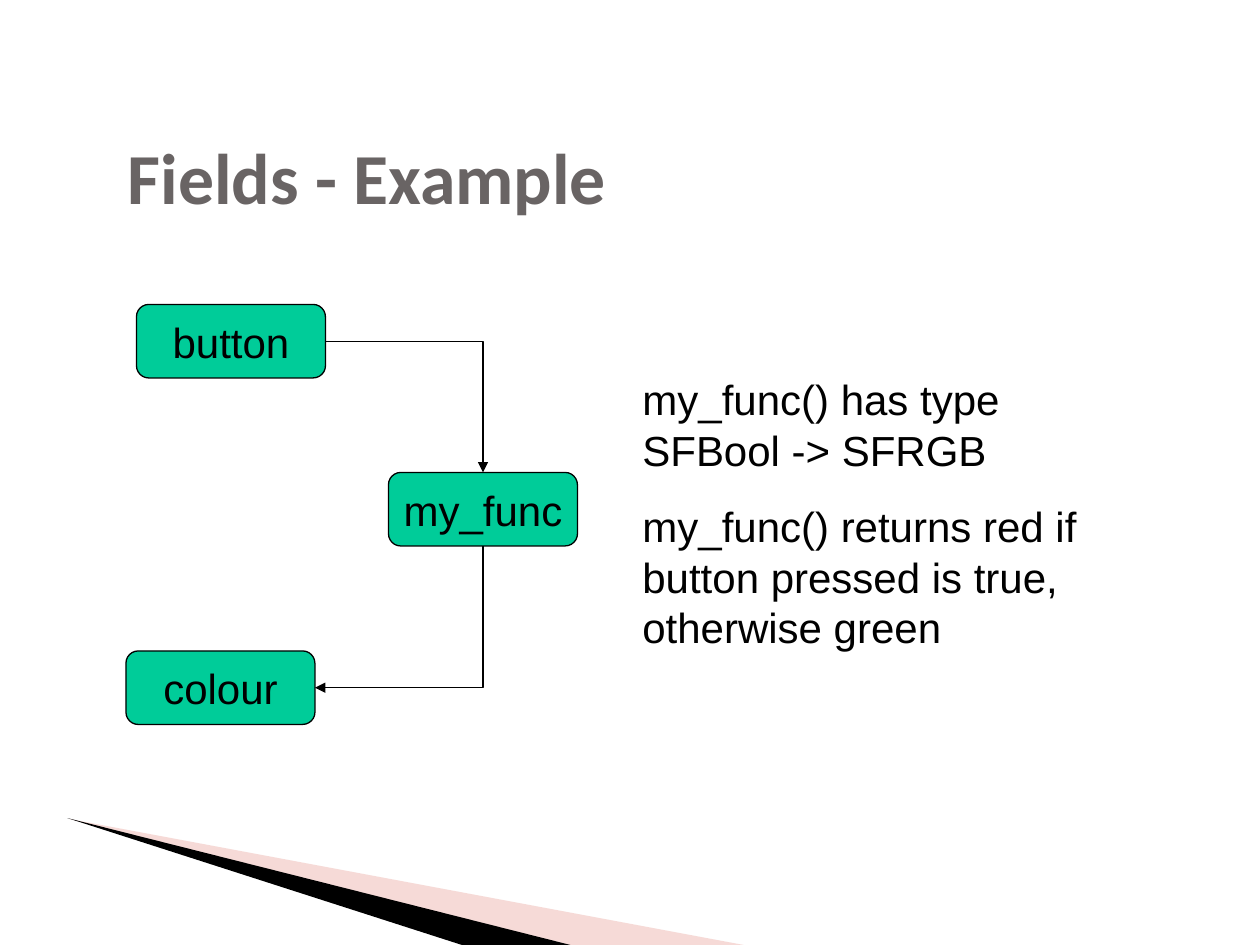
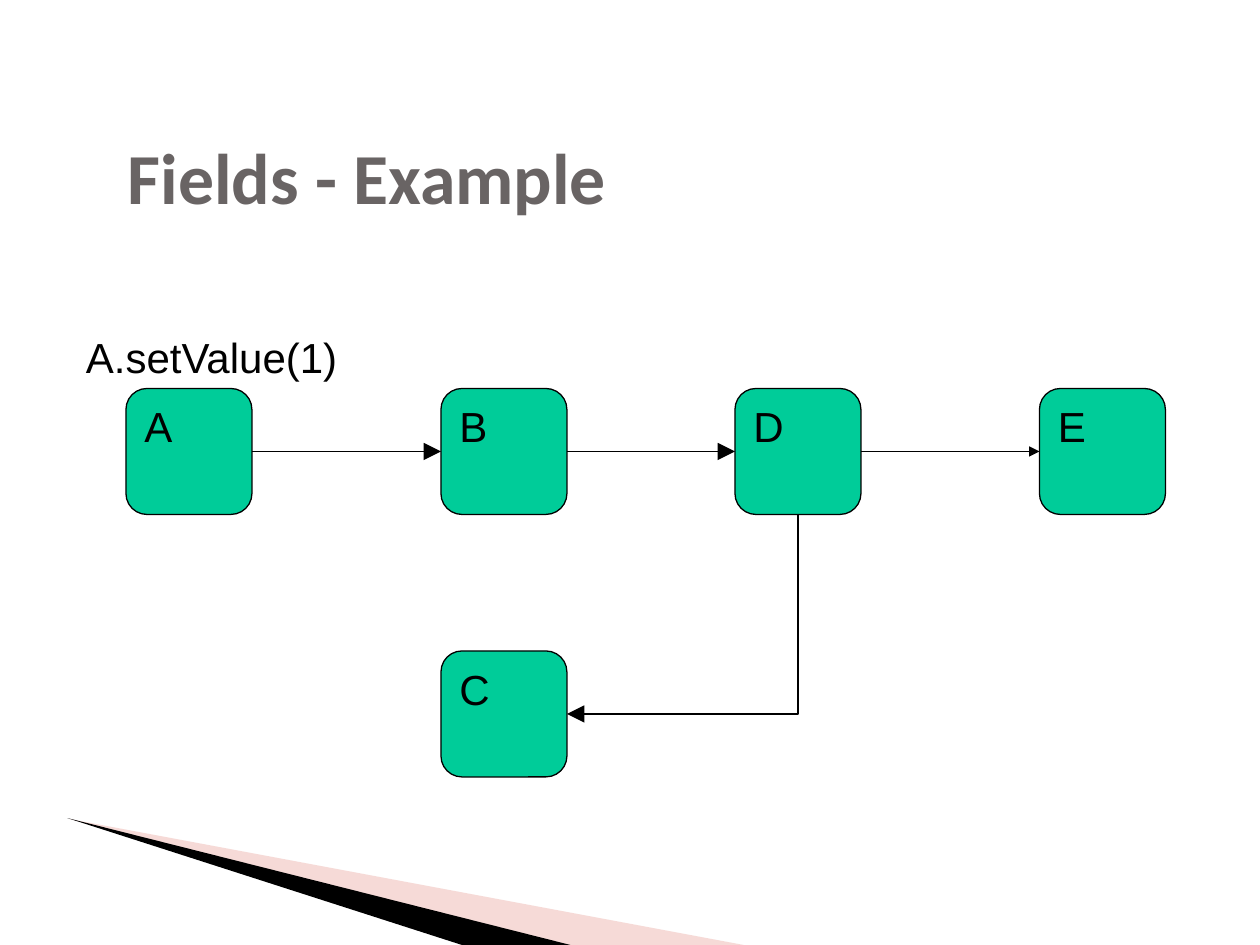
from dataclasses import dataclass

import pptx
import pptx.dml.color
import pptx.enum.shapes
import pptx.enum.text
import pptx.oxml.ns
import pptx.oxml.xmlchemy
import pptx.shapes.connector
import pptx.slide
import pptx.util
from lxml import etree

Pt = pptx.util.Pt
qn = pptx.oxml.ns.qn
Align = pptx.enum.text.PP_ALIGN
Anchor = pptx.enum.text.MSO_ANCHOR
Connector = pptx.enum.shapes.MSO_CONNECTOR

BLACK = "000000"
NODE_GREEN = "00CC99"
TITLE_GREY = "696464"
BAND_PINK = "E9A49C"
BODY_FONT = "Arial"
TITLE_FONT = "Calibri"
BODY_SIZE = 24
LINE_WIDTH = 0.75
TOP, LEFT, BOTTOM, RIGHT = range(4)


@dataclass(frozen=True)
class Box:
    left: float
    top: float
    width: float
    height: float

    def side(self, index: int) -> tuple[float, float]:
        """Middle of a side, numbered like the connection sites."""
        middle_x = self.left + self.width / 2
        middle_y = self.top + self.height / 2
        return (
            (middle_x, self.top),
            (self.left, middle_y),
            (middle_x, self.top + self.height),
            (self.left + self.width, middle_y),
        )[index]


@dataclass(frozen=True)
class Node:
    label: str
    box: Box
    centred: bool = False


@dataclass(frozen=True)
class Arrow:
    start: str
    start_side: int
    end: str
    end_side: int
    head: str = "med"

    @property
    def bent(self) -> bool:
        return self.start_side % 2 != self.end_side % 2


@dataclass(frozen=True)
class Band:
    points: tuple[tuple[float, float], ...]
    color: str
    opacity: int = 100


@dataclass(frozen=True)
class Diagram:
    nodes: tuple[Node, ...]
    arrows: tuple[Arrow, ...]
    note_box: Box
    notes: tuple[str, ...]


# Parts shared by the slides
TITLE = "Fields - Example"
TITLE_BOX = Box(66, 54, 612, 90)
BANDS = (
    Band(((39.5, 468), (425, 540), (325.5, 540)), BAND_PINK, 40),
    Band(((38.5, 467.5), (326, 540), (264, 540)), BLACK),
)


def function_node(label: str, left: float, top: float) -> Node:
    return Node(label, Box(left, top, 108, 42), centred=True)


def field_node(label: str, left: float, top: float) -> Node:
    return Node(label, Box(left, top, 72, 72))


DIAGRAMS = (
    Diagram(
        nodes=(
            function_node("button", 78, 174),
            function_node("my_func", 222, 270),
            function_node("colour", 72, 372),
        ),
        arrows=(
            Arrow("button", RIGHT, "my_func", TOP),
            Arrow("my_func", BOTTOM, "colour", RIGHT),
        ),
        note_box=Box(360, 210, 300, 166),
        notes=(
            "my_func() has type SFBool -> SFRGB",
            "my_func() returns red if button pressed is true, otherwise green",
        ),
    ),
    Diagram(
        nodes=(
            field_node("A", 72, 222),
            field_node("B", 252, 222),
            field_node("C", 252, 372),
            field_node("D", 420, 222),
            field_node("E", 594, 222),
        ),
        arrows=(
            Arrow("A", RIGHT, "B", LEFT, "lg"),
            Arrow("B", RIGHT, "D", LEFT, "lg"),
            Arrow("D", BOTTOM, "C", RIGHT, "lg"),
            Arrow("D", RIGHT, "E", LEFT),
        ),
        note_box=Box(42, 186, 162, 36),
        notes=("A.setValue(1)",),
    ),
)


def rgb(value: str) -> pptx.dml.color.RGBColor:
    return pptx.dml.color.RGBColor.from_string(value)


def lengths(*values: float) -> list[pptx.util.Length]:
    return [Pt(value) for value in values]


def frame(box: Box) -> list[pptx.util.Length]:
    return lengths(box.left, box.top, box.width, box.height)


def add_run(paragraph, text: str, font_name: str = BODY_FONT, size: float = BODY_SIZE,
            color: str = BLACK, bold: bool = False) -> None:
    run = paragraph.add_run()
    run.text = text
    run.font.name = font_name
    run.font.size = Pt(size)
    run.font.bold = bold
    run.font.color.rgb = rgb(color)


def add_band(slide: pptx.slide.Slide, band: Band) -> None:
    start, *others = [tuple(lengths(*point)) for point in band.points]
    builder = slide.shapes.build_freeform(*start)
    builder.add_line_segments(others, close=True)
    shape = builder.convert_to_shape()
    shape.shadow.inherit = False
    shape.line.fill.background()
    shape.fill.solid()
    shape.fill.fore_color.rgb = rgb(band.color)
    if band.opacity < 100:
        color = shape._element.spPr.find(qn("a:solidFill"))[0]
        etree.SubElement(color, qn("a:alpha")).set("val", str(band.opacity * 1000))


def add_title(slide: pptx.slide.Slide) -> None:
    text_frame = slide.shapes.add_textbox(*frame(TITLE_BOX)).text_frame
    text_frame.word_wrap = True
    text_frame.vertical_anchor = Anchor.MIDDLE
    paragraph = text_frame.paragraphs[0]
    paragraph.line_spacing = 1.07
    add_run(paragraph, TITLE, TITLE_FONT, 41, TITLE_GREY, bold=True)


def add_node(slide: pptx.slide.Slide, node: Node):
    shape = slide.shapes.add_shape(
        pptx.enum.shapes.MSO_SHAPE.ROUNDED_RECTANGLE, *frame(node.box))
    shape.shadow.inherit = False
    shape.fill.solid()
    shape.fill.fore_color.rgb = rgb(NODE_GREEN)
    shape.line.color.rgb = rgb(BLACK)
    shape.line.width = Pt(LINE_WIDTH)
    text_frame = shape.text_frame
    text_frame.word_wrap = not node.centred
    text_frame.vertical_anchor = Anchor.MIDDLE if node.centred else Anchor.TOP
    paragraph = text_frame.paragraphs[0]
    paragraph.alignment = Align.CENTER if node.centred else Align.LEFT
    add_run(paragraph, node.label)
    return shape


def bend(connector: pptx.shapes.connector.Connector, start: tuple[float, float],
         end: tuple[float, float], downward: bool) -> None:
    """Give the connector one corner; a downward start is a quarter turn."""
    width, height = abs(end[0] - start[0]), abs(end[1] - start[1])
    middle_x, middle_y = (start[0] + end[0]) / 2, (start[1] + end[1]) / 2
    properties = connector._element.spPr
    properties.find(qn("a:prstGeom")).set("prst", "bentConnector2")
    transform = properties.find(qn("a:xfrm"))
    if downward:
        width, height = height, width
        transform.set("rot", "5400000")
        transform.attrib.pop("flipH", None)
    connector.left, connector.top = lengths(middle_x - width / 2, middle_y - height / 2)
    connector.width, connector.height = lengths(width, height)


def add_arrow(slide: pptx.slide.Slide, arrow: Arrow, boxes: dict[str, Box],
              shapes: dict) -> None:
    start = boxes[arrow.start].side(arrow.start_side)
    end = boxes[arrow.end].side(arrow.end_side)
    kind = Connector.ELBOW if arrow.bent else Connector.STRAIGHT
    connector = slide.shapes.add_connector(kind, *lengths(*start, *end))
    connector.begin_connect(shapes[arrow.start], arrow.start_side)
    connector.end_connect(shapes[arrow.end], arrow.end_side)
    if arrow.bent:
        bend(connector, start, end, downward=arrow.start_side == BOTTOM)
    connector.line.color.rgb = rgb(BLACK)
    connector.line.width = Pt(LINE_WIDTH)
    properties = connector._element.spPr
    tail = etree.SubElement(properties.find(qn("a:ln")), qn("a:tailEnd"))
    for name, value in (("type", "triangle"), ("w", arrow.head), ("len", arrow.head)):
        tail.set(name, value)
    etree.SubElement(properties, qn("a:effectLst"))


def add_notes(slide: pptx.slide.Slide, box: Box, notes: tuple[str, ...]) -> None:
    text_frame = slide.shapes.add_textbox(*frame(box)).text_frame
    text_frame.word_wrap = True
    for index, note in enumerate(notes):
        paragraph = text_frame.add_paragraph() if index else text_frame.paragraphs[0]
        if index:
            paragraph.space_before = Pt(15)
        add_run(paragraph, note)


def add_diagram_slide(presentation, diagram: Diagram) -> None:
    slide = presentation.slides.add_slide(presentation.slide_layouts[6])
    for band in BANDS:
        add_band(slide, band)
    add_title(slide)
    boxes = {node.label: node.box for node in diagram.nodes}
    shapes = {node.label: add_node(slide, node) for node in diagram.nodes}
    for arrow in diagram.arrows:
        add_arrow(slide, arrow, boxes, shapes)
    add_notes(slide, diagram.note_box, diagram.notes)


def main() -> None:
    presentation = pptx.Presentation()
    presentation.slide_width, presentation.slide_height = lengths(720, 540)
    for diagram in DIAGRAMS:
        add_diagram_slide(presentation, diagram)
    presentation.save("out.pptx")


if __name__ == "__main__":
    main()
